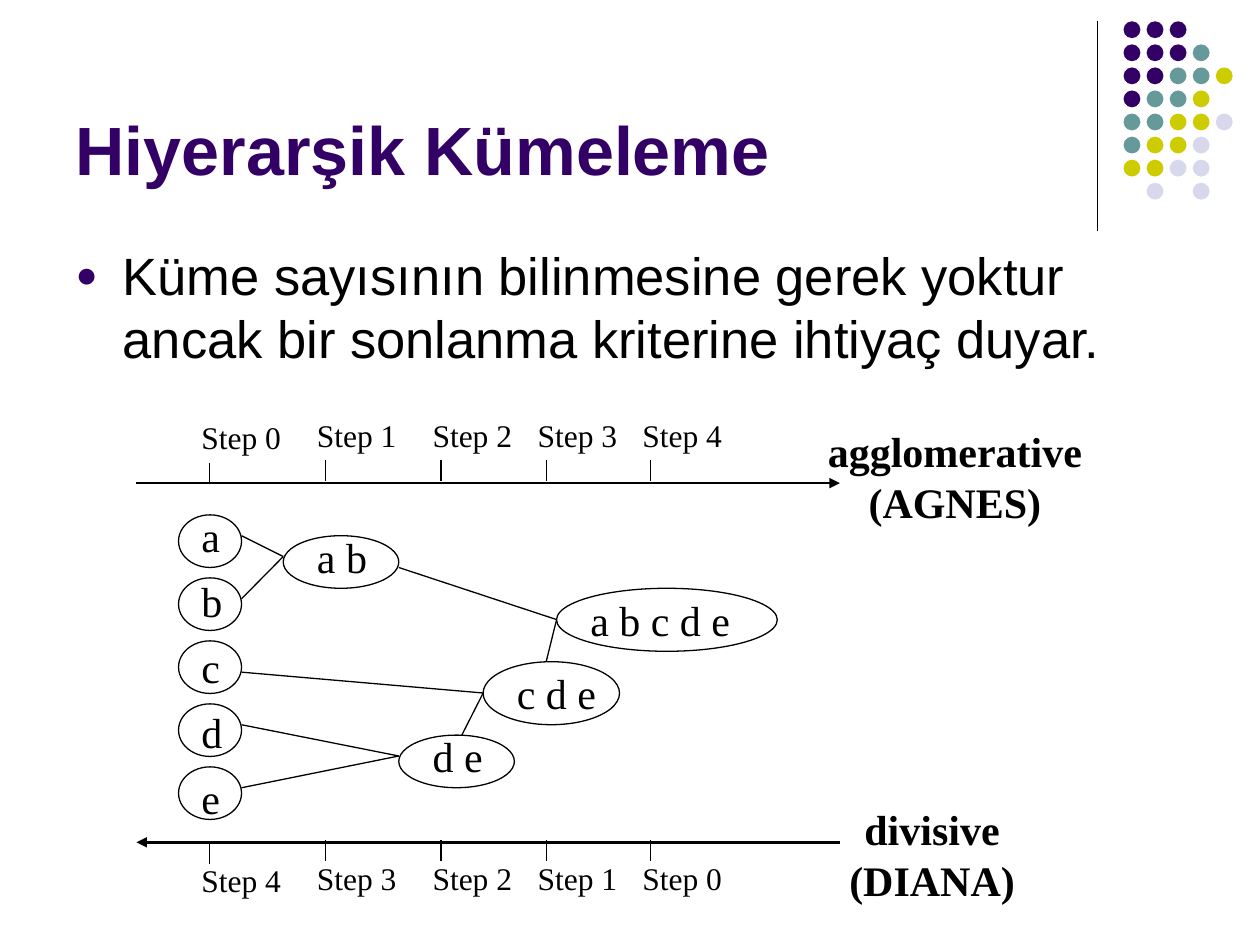
from lxml.etree import SubElement
from pptx import Presentation
from pptx.dml.color import RGBColor
from pptx.enum.shapes import MSO_CONNECTOR, MSO_SHAPE
from pptx.enum.text import MSO_ANCHOR, MSO_AUTO_SIZE, PP_ALIGN
from pptx.oxml.ns import qn
from pptx.util import Cm, Pt

PURPLE, BLACK = "330066", "000000"
DOT_COLORS = {"P": PURPLE, "T": "669999", "Y": "CCCC00", "L": "D8D8EC"}
DOT_ROWS = ["PPP", "PPPT", "PPTTY", "PTTY", "TTYYL", "TYYL", "YYLL", " L L"]

# Diagram measures in cm, relative to the diagram's corner
STEP_XS = [1.48, 3.81, 6.14, 8.26, 10.37]
AXIS_LENGTH = 14.18
TEXT_HEIGHT = 1.27
CLUSTERS = [  # label, left, top, width, height, label width
    ("a b", 2.96, 2.54, 2.33, 1.06, 1.52),
    ("d e", 5.29, 6.56, 2.33, 1.06, 1.52),
    ("c d e", 6.99, 5.08, 2.75, 1.27, 2.11),
    ("a b c d e", 8.47, 3.6, 4.45, 1.27, 3.33),
]
LINKS = [  # x1, y1, x2, y2
    (2.12, 2.54, 2.96, 2.96), (2.12, 3.81, 2.96, 2.96),
    (2.12, 6.35, 5.29, 6.98), (2.12, 7.62, 5.29, 6.98),
    (2.12, 5.29, 6.99, 5.71), (6.56, 6.56, 6.99, 5.71),
    (5.29, 3.18, 8.47, 4.23), (8.26, 5.08, 8.47, 4.23),
]


def rgb(color):
    return RGBColor.from_string(color)


def add_run(paragraph, text, size, font="Times New Roman", color=BLACK, bold=False):
    run = paragraph.add_run()
    run.text = text
    run.font.name = font
    run.font.size = Pt(size)
    run.font.bold = bold
    run.font.color.rgb = rgb(color)


def add_label(shapes, lines, left, top, width, height, size,
              wrap=False, bold=False, align=PP_ALIGN.LEFT):
    label = shapes.add_textbox(Cm(left), Cm(top), Cm(width), Cm(height))
    frame = label.text_frame
    frame.word_wrap = wrap
    frame.auto_size = MSO_AUTO_SIZE.SHAPE_TO_FIT_TEXT
    for i, line in enumerate(lines):
        paragraph = frame.add_paragraph() if i else frame.paragraphs[0]
        paragraph.alignment = align
        add_run(paragraph, line, size, bold=bold)


def add_line(shapes, x1, y1, x2, y2, weight=0.75, arrow_end=None):
    line = shapes.add_connector(MSO_CONNECTOR.STRAIGHT, Cm(x1), Cm(y1), Cm(x2), Cm(y2))
    line.line.color.rgb = rgb(BLACK)
    line.line.width = Pt(weight)
    properties = line._element.spPr
    if arrow_end:
        SubElement(properties.find(qn("a:ln")), qn(arrow_end), type="triangle")
    SubElement(properties, qn("a:effectLst"))


def add_ellipse(shapes, left, top, width, height, fill=None):
    ellipse = shapes.add_shape(MSO_SHAPE.OVAL, Cm(left), Cm(top), Cm(width), Cm(height))
    ellipse.shadow.inherit = False
    if fill:
        ellipse.fill.solid()
        ellipse.fill.fore_color.rgb = rgb(fill)
        ellipse.line.fill.background()
    else:
        ellipse.fill.background()
        ellipse.line.color.rgb = rgb(BLACK)
        ellipse.line.width = Pt(0.75)


def place(placeholder, left, top, width, height, anchor):
    placeholder.left, placeholder.top = Cm(left), Cm(top)
    placeholder.width, placeholder.height = Cm(width), Cm(height)
    frame = placeholder.text_frame
    frame.auto_size = MSO_AUTO_SIZE.NONE
    frame.word_wrap = True
    frame.vertical_anchor = anchor
    paragraph = frame.paragraphs[0]
    paragraph.alignment = PP_ALIGN.LEFT
    return paragraph


def fill_title(title, left, top, width, height):
    paragraph = place(title, left, top, width, height, MSO_ANCHOR.BOTTOM)
    add_run(paragraph, "Hiyerarşik Kümeleme", 39, "Arial", PURPLE, True)


def fill_body(body, left, top, width, height):
    paragraph = place(body, left, top, width, height, MSO_ANCHOR.TOP)
    paragraph.space_before = Pt(7.5)
    # Bullet with a hanging indent
    properties = paragraph._p.get_or_add_pPr()
    properties.set("marL", str(Cm(0.95)))
    properties.set("indent", str(-Cm(0.95)))
    bullet_color = SubElement(properties, qn("a:buClr"))
    SubElement(bullet_color, qn("a:srgbClr"), val=PURPLE)
    SubElement(properties, qn("a:buSzPct"), val="70000")
    SubElement(properties, qn("a:buFont"), typeface="Arial")
    SubElement(properties, qn("a:buChar"), char="●")
    add_run(paragraph, "Küme sayısının bilinmesine gerek yoktur "
            "ancak bir sonlanma kriterine ihtiyaç duyar.", 30, "Arial")


def draw_ornament(slide, left, top):
    add_line(slide.shapes, left, top, left, top + 4.22)
    dots = slide.shapes.add_group_shape().shapes
    for row, codes in enumerate(DOT_ROWS):
        for column, code in enumerate(codes):
            if code in DOT_COLORS:
                add_ellipse(dots, left + 0.53 + column * 0.465, top + row * 0.465,
                            0.34, 0.34, DOT_COLORS[code])


def draw_axis(shapes, left, axis_y, tick_y, label_y, steps, arrow_end):
    add_line(shapes, left, axis_y, left + AXIS_LENGTH, axis_y, 1.5, arrow_end)
    for i, (step_x, step) in enumerate(zip(STEP_XS, steps)):
        x = left + step_x
        drop = 0 if i else 0.05  # the first step hangs slightly lower
        add_line(shapes, x, tick_y + drop, x, tick_y + drop + 0.42)
        add_label(shapes, [f"Step {step}"], x - 0.42, label_y + drop,
                  2.12, 1.02, 18, wrap=True)


def draw_diagram(slide, left, top):
    shapes = slide.shapes.add_group_shape().shapes
    # Step axes
    draw_axis(shapes, left, top + 1.48, top + 1.02, top, range(5), "a:tailEnd")
    draw_axis(shapes, left, top + 8.72, top + 8.68, top + 8.93,
              range(4, -1, -1), "a:headEnd")
    # Single items
    for i, item in enumerate("abcde"):
        add_label(shapes, [item], left + 1.06, top + 1.9 + i * 1.32,
                  0.9, TEXT_HEIGHT, 24)
        add_ellipse(shapes, left + 0.85, top + 2.12 + i * 1.27, 1.27, 1.06)
    # Merged clusters, labels level with the ellipse bottoms
    for name, x, y, width, height, label_width in CLUSTERS:
        add_label(shapes, [name], left + x + 0.43, top + y + height - TEXT_HEIGHT,
                  label_width, TEXT_HEIGHT, 24)
        add_ellipse(shapes, left + x, top + y, width, height)
    for x1, y1, x2, y2 in LINKS:
        add_line(shapes, left + x1, top + y1, left + x2, top + y2)
    # Method names
    for lines, x, y, width in [(["agglomerative", "(AGNES)"], 13.68, 0.2, 5.64),
                               (["divisive", "(DIANA)"], 14.12, 7.82, 3.84)]:
        add_label(shapes, lines, left + x, top + y, width, 2.29, 24,
                  bold=True, align=PP_ALIGN.CENTER)


def main():
    deck = Presentation()
    deck.slide_width, deck.slide_height = Cm(25.4), Cm(19.05)
    slide = deck.slides.add_slide(deck.slide_layouts[1])
    draw_ornament(slide, 22.12, 0.43)
    fill_title(slide.shapes.title, 1.27, 0.33, 20.96, 3.61)
    fill_body(slide.placeholders[1], 1.27, 4.78, 22.86, 12.24)
    draw_diagram(slide, 2.75, 8.26)
    deck.save("out.pptx")


if __name__ == "__main__":
    main()
